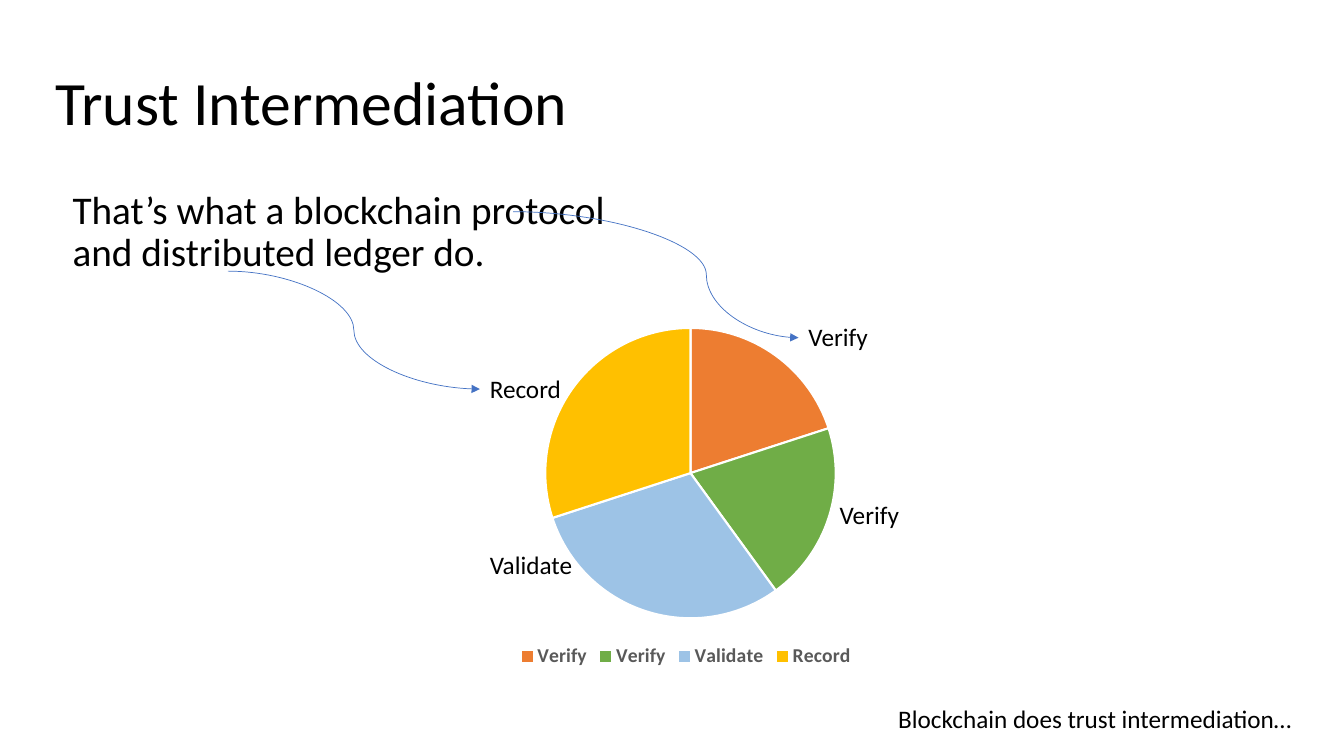
from dataclasses import dataclass

from lxml import etree
from pptx import Presentation
from pptx.chart.data import CategoryChartData
from pptx.dml.color import RGBColor
from pptx.enum.chart import XL_CHART_TYPE as ChartType, XL_LEGEND_POSITION as LegendPosition
from pptx.enum.shapes import MSO_CONNECTOR as Connector
from pptx.enum.text import MSO_ANCHOR as Anchor, MSO_AUTO_SIZE as AutoSize
from pptx.oxml.ns import qn
from pptx.shapes.autoshape import Shape
from pptx.slide import Slide
from pptx.util import Emu, Pt

PX = 9144
FONT = "Calibri"
COLORS = {
    "text": "000000",
    "legend": "595959",
    "arrow": "4472C4",
    "edge": "FFFFFF",
}


@dataclass(frozen=True)
class Slice:
    name: str
    value: int
    color: str


@dataclass(frozen=True)
class Label:
    text: str
    left: int
    top: int
    width: int


@dataclass(frozen=True)
class Arrow:
    left: int
    top: int
    label: int
    bend: int


SLICES = [
    Slice("Verify", 20, "ED7D31"),
    Slice("Verify", 20, "70AD47"),
    Slice("Validate", 30, "9DC3E6"),
    Slice("Record", 30, "FFC000"),
]
LABELS = [
    Label("Verify", 792, 314, 178),
    Label("Verify", 823, 490, 178),
    Label("Validate", 476, 540, 229),
    Label("Record", 476, 365, 204),
]
ARROWS = [Arrow(226, 269, 3, 50000), Arrow(509, 210, 0, 67700)]
PIE_LAYOUT = {"x": 0.34, "y": 0.04, "w": 0.33, "h": 0.81}


def px(length: int) -> Emu:
    return Emu(length * PX)


def color(name: str) -> RGBColor:
    return RGBColor.from_string(COLORS[name])


def add_text(page: Slide, text: str, left: int, top: int, width: int, height: int, *,
             size: int = 18, inset: int = 5, indent: int = 0, spacing: float = 1.0,
             anchor: Anchor = Anchor.TOP, wrap: bool = True, grow: bool = False) -> Shape:
    box = page.shapes.add_textbox(px(left), px(top), px(width), px(height))
    frame = box.text_frame
    frame.word_wrap = wrap
    frame.auto_size = AutoSize.SHAPE_TO_FIT_TEXT if grow else AutoSize.NONE
    frame.vertical_anchor = anchor
    frame.margin_left = px(10 + indent)
    frame.margin_right = px(10)
    frame.margin_top = frame.margin_bottom = px(inset)
    frame.text = text
    for para in frame.paragraphs:
        para.line_spacing = spacing
        for span in para.runs:
            span.font.name = FONT
            span.font.size = Pt(size)
            span.font.color.rgb = color("text")
    return box


def add_pie(page: Slide, left: int, top: int, width: int, height: int) -> None:
    data = CategoryChartData()
    data.categories = [part.name for part in SLICES]
    data.add_series("Series 1", [part.value for part in SLICES])
    chart = page.shapes.add_chart(
        ChartType.PIE, px(left), px(top), px(width), px(height), data).chart
    chart.has_title = False
    chart.font.name = FONT
    chart.font.size = Pt(10)
    chart.font.color.rgb = color("text")
    chart.has_legend = True
    legend = chart.legend
    legend.position = LegendPosition.BOTTOM
    legend.include_in_layout = False
    legend.font.name = FONT
    legend.font.size = Pt(14)
    legend.font.bold = True
    legend.font.color.rgb = color("legend")
    plot = chart.plots[0]
    plot.vary_by_categories = True
    for index, part in enumerate(SLICES):
        style = plot.series[0].points[index].format
        style.fill.solid()
        style.fill.fore_color.rgb = RGBColor.from_string(part.color)
        style.line.color.rgb = color("edge")
        style.line.width = Pt(1.5)
    area = chart.element.find(".//" + qn("c:plotArea"))
    for layout in area.findall(qn("c:layout")):
        area.remove(layout)
    layout = etree.Element(qn("c:layout"))
    area.insert(0, layout)
    manual = etree.SubElement(layout, qn("c:manualLayout"))
    settings = {"layoutTarget": "inner", "xMode": "edge", "yMode": "edge", **PIE_LAYOUT}
    for tag, value in settings.items():
        etree.SubElement(manual, qn(f"c:{tag}")).set("val", str(value))


def add_arrow(page: Slide, arrow: Arrow, target: Shape) -> None:
    start = px(arrow.left), px(arrow.top)
    connector = page.shapes.add_connector(Connector.CURVE, *start, *start)
    connector.end_connect(target, 1)
    connector.line.color.rgb = color("arrow")
    connector.line.width = Pt(0.5)
    properties = connector.element.spPr
    guide = etree.SubElement(properties.find(".//" + qn("a:avLst")), qn("a:gd"))
    guide.set("name", "adj1")
    guide.set("fmla", f"val {arrow.bend}")
    etree.SubElement(properties.find(qn("a:ln")), qn("a:tailEnd")).set("type", "triangle")
    etree.SubElement(properties, qn("a:effectLst"))


def main() -> None:
    deck = Presentation()
    deck.slide_width, deck.slide_height = px(1333), px(750)
    page = deck.slides.add_slide(deck.slide_layouts[6])
    add_text(page, "Trust Intermediation", 45, 60, 1242, 89,
             size=44, inset=10, spacing=0.9, anchor=Anchor.MIDDLE)
    add_text(page, "That’s what a blockchain protocol\nand distributed ledger do.",
             45, 179, 1242, 487, size=28, inset=10, indent=17, spacing=0.9)
    add_pie(page, 244, 311, 873, 356)
    boxes = [add_text(page, label.text, label.left, label.top, label.width, 42, grow=True)
             for label in LABELS]
    for arrow in ARROWS:
        add_arrow(page, arrow, boxes[arrow.label])
    add_text(page, "Blockchain does trust intermediation…", 881, 693, 423, 40,
             wrap=False, grow=True)
    deck.save("out.pptx")


if __name__ == "__main__":
    main()
